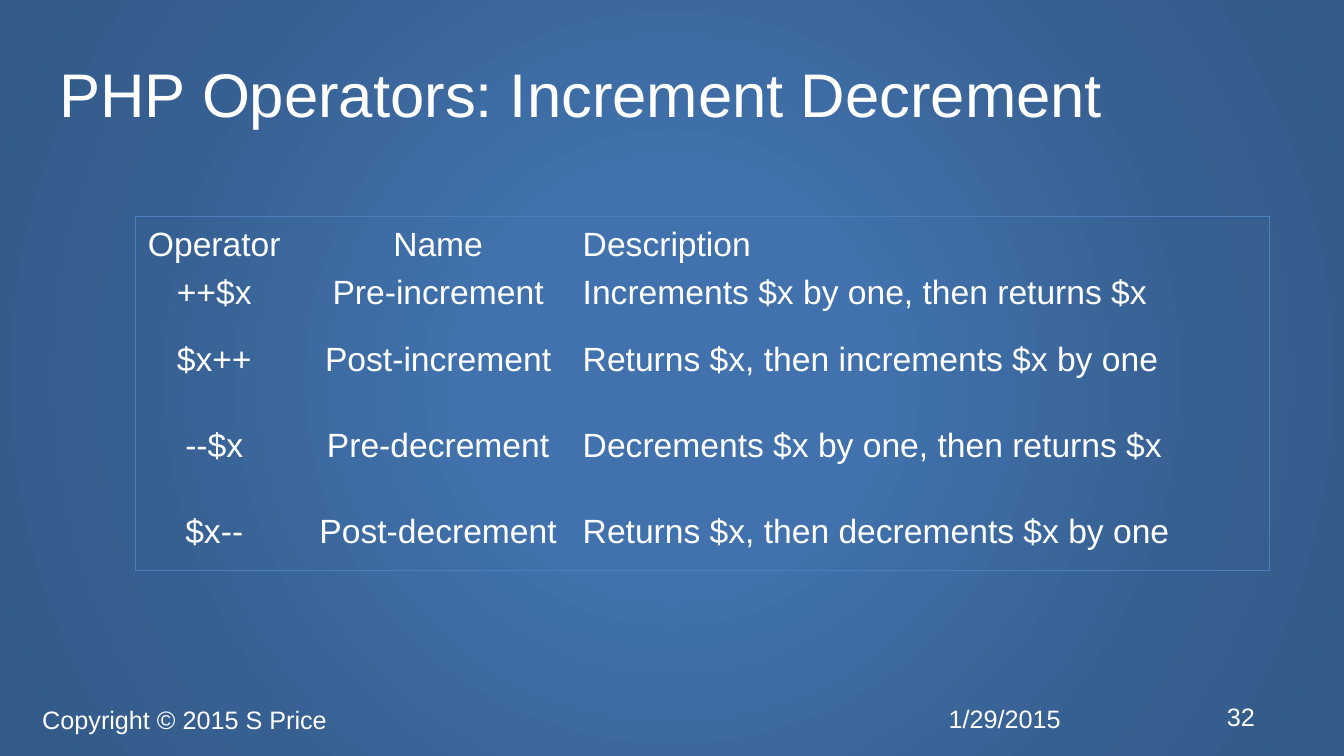
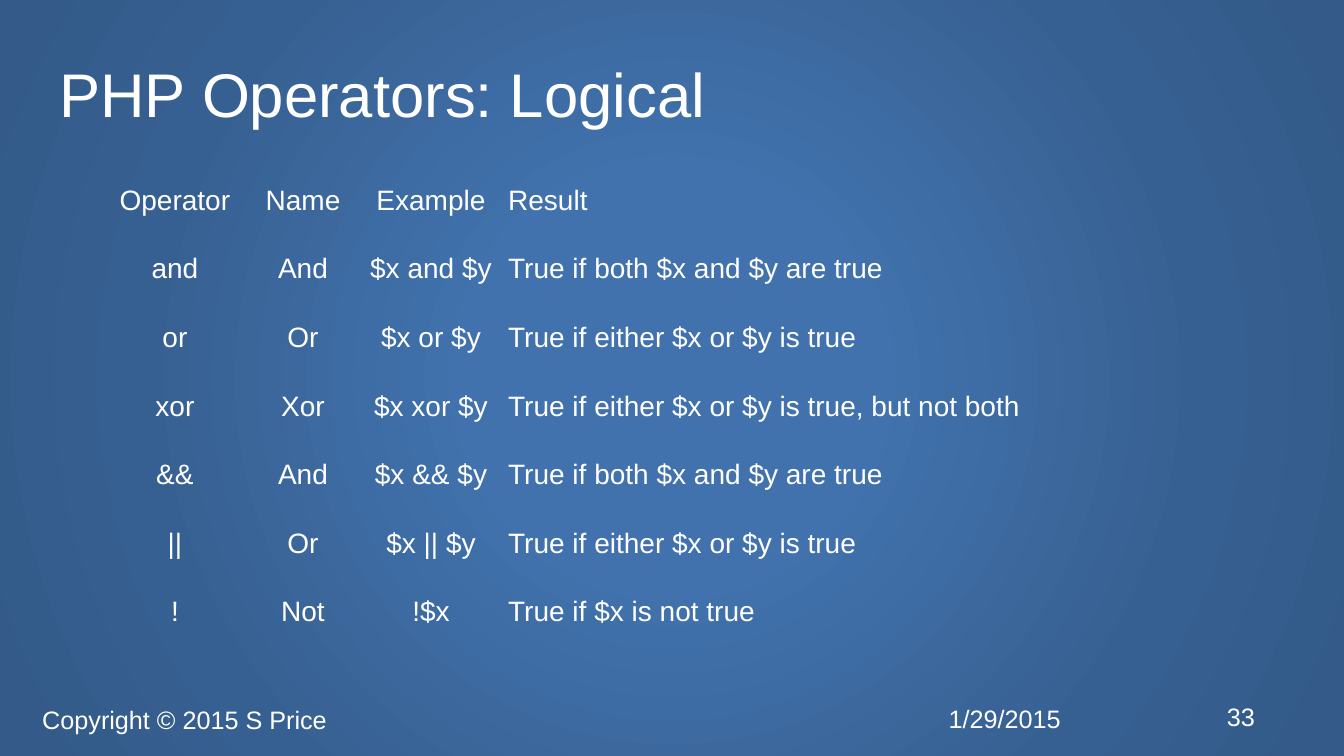
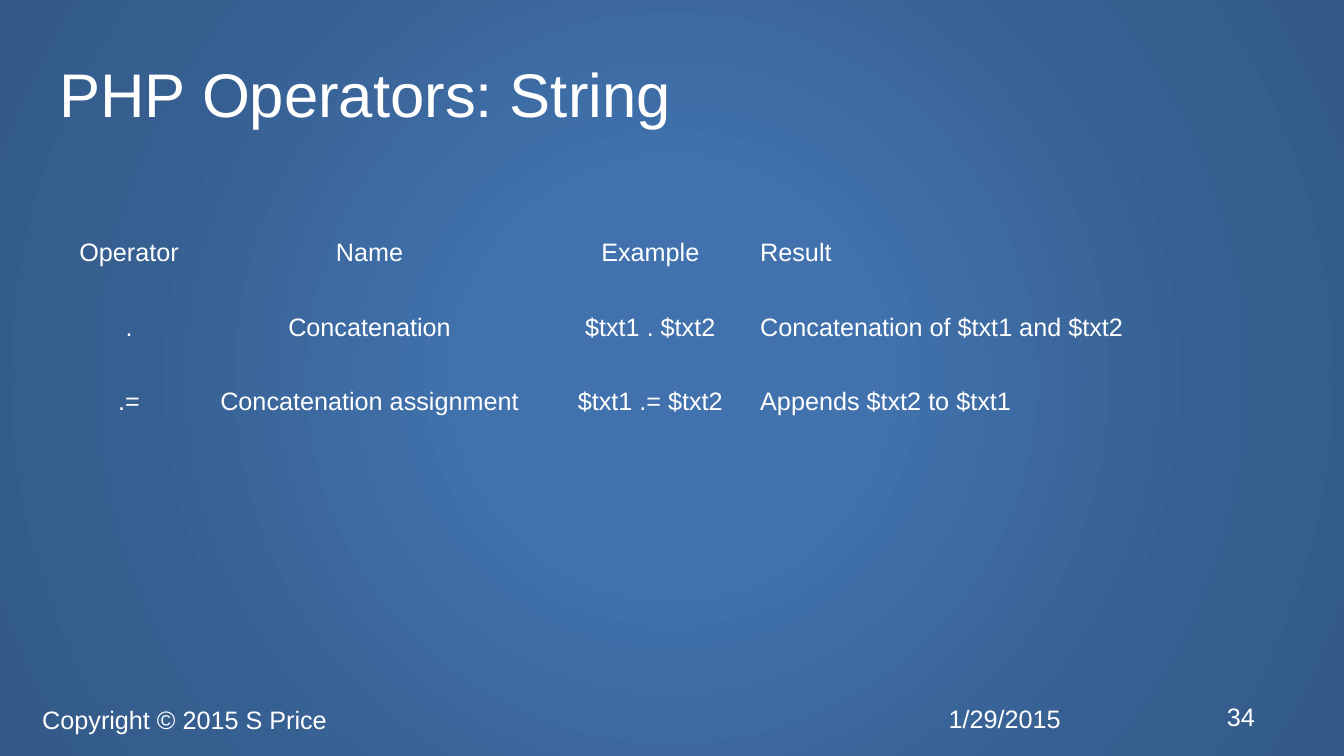
import pptx
import pptx.dml.color
import pptx.enum.text
import pptx.oxml
import pptx.oxml.ns
import pptx.util

Inches = pptx.util.Inches
ALIGN = pptx.enum.text.PP_ALIGN
MIDDLE = pptx.enum.text.MSO_ANCHOR.MIDDLE

FONT = "Arial"
WHITE = "FFFFFF"
FRAME_BLUE = "4B7EBC"
FRAME_WIDTH = pptx.util.Pt(0.75)
BACKDROP_STOPS = [(0, "4172AD"), (26, "4172AD"), (69, "376092"), (97, "335A88")]
FIRST_SLIDE_NUMBER = 32

OPERATOR_TABLES = [
    dict(
        title="PHP Operators: Increment Decrement",
        left=1.34, top=2.15, size=24, framed=True,
        widths=[1.57, 2.87, 6.81],
        heights=[0.42] * 2 + [0.85] * 3,
        rows=[
            ("Operator", "Name", "Description"),
            ("++$x", "Pre-increment", "Increments $x by one, then returns $x"),
            ("$x++", "Post-increment", "Returns $x, then increments $x by one"),
            ("--$x", "Pre-decrement", "Decrements $x by one, then returns $x"),
            ("$x--", "Post-decrement", "Returns $x, then decrements $x by one"),
        ],
    ),
    dict(
        title="PHP Operators: Logical",
        left=0.97, top=1.62, size=20,
        widths=[1.53, 1.01, 1.53, 7.54],
        heights=[0.68] * 7,
        rows=[
            ("Operator", "Name", "Example", "Result"),
            ("and", "And", "$x and $y", "True if both $x and $y are true"),
            ("or", "Or", "$x or $y", "True if either $x or $y is true"),
            ("xor", "Xor", "$x xor $y", "True if either $x or $y is true, but not both"),
            ("&&", "And", "$x && $y", "True if both $x and $y are true"),
            ("||", "Or", "$x || $y", "True if either $x or $y is true"),
            ("!", "Not", "!$x", "True if $x is not true"),
        ],
    ),
    dict(
        title="PHP Operators: String",
        left=0.59, top=2.11, size=18,
        widths=[1.38, 3.39, 2.18, 5.37],
        heights=[0.74] * 3,
        rows=[
            ("Operator", "Name", "Example", "Result"),
            (".", "Concatenation", "$txt1 . $txt2", "Concatenation of $txt1 and $txt2"),
            (".=", "Concatenation assignment", "$txt1 .= $txt2", "Appends $txt2 to $txt1"),
        ],
    ),
]


def rgb(hex_color):
    return pptx.dml.color.RGBColor.from_string(hex_color)


def drawing_xml(markup):
    """Parse a markup template whose root tag has an %s for the a: namespace."""
    return pptx.oxml.parse_xml(markup % pptx.oxml.ns.nsdecls("a"))


def write(frame, text, size=18, color=WHITE, align=ALIGN.LEFT, spacing=1.0):
    paragraph = frame.paragraphs[0]
    paragraph.alignment = align
    paragraph.line_spacing = spacing
    run = paragraph.add_run()
    run.text = text
    run.font.name = FONT
    run.font.size = pptx.util.Pt(size)
    run.font.color.rgb = rgb(color)


def clear_margins(holder):
    holder.margin_left = holder.margin_right = 0
    holder.margin_top = holder.margin_bottom = 0


def add_text(slide, text, left, top, width, height, inset=True, **text_format):
    box = slide.shapes.add_textbox(Inches(left), Inches(top), Inches(width), Inches(height))
    frame = box.text_frame
    frame.word_wrap = True
    frame.vertical_anchor = MIDDLE
    if not inset:
        clear_margins(frame)
    write(frame, text, **text_format)


def paint_backdrop(master):
    """Give every slide the radial blue gradient."""
    master.background.fill.gradient()
    plain = next(master.element.iter(pptx.oxml.ns.qn("a:gradFill")))
    stops = "".join(
        f'<a:gs pos="{percent * 1000}"><a:srgbClr val="{color}"/></a:gs>'
        for percent, color in BACKDROP_STOPS
    )
    radial = drawing_xml(
        f'<a:gradFill %s rotWithShape="1"><a:gsLst>{stops}</a:gsLst><a:path path="circle">'
        '<a:fillToRect l="50000" t="50000" r="50000" b="50000"/></a:path></a:gradFill>'
    )
    plain.getparent().replace(plain, radial)


def set_borders(cell, visible_sides):
    properties = cell._tc.get_or_add_tcPr()
    for position, side in enumerate("LRTB"):
        if side in visible_sides:
            paint = f'<a:solidFill><a:srgbClr val="{FRAME_BLUE}"/></a:solidFill>'
        else:
            paint = "<a:noFill/>"
        border = drawing_xml(f'<a:ln{side} %s w="{FRAME_WIDTH}">{paint}</a:ln{side}>')
        properties.insert(position, border)


def add_operator_table(slide, rows, left, top, widths, heights, size, framed=False):
    """Add a clear table: last column left-aligned, the others centred."""
    table = slide.shapes.add_table(
        len(rows), len(widths), Inches(left), Inches(top),
        Inches(sum(widths)), Inches(sum(heights)),
    ).table
    table.first_row = table.horz_banding = False
    for column, width in zip(table.columns, widths):
        column.width = Inches(width)
    for row, height in zip(table.rows, heights):
        row.height = Inches(height)

    last_row, last_column = len(rows) - 1, len(widths) - 1
    for r, row_texts in enumerate(rows):
        for c, text in enumerate(row_texts):
            cell = table.cell(r, c)
            cell.fill.background()
            cell.vertical_anchor = MIDDLE
            clear_margins(cell)
            align = ALIGN.LEFT if c == last_column else ALIGN.CENTER
            write(cell.text_frame, text, size=size, align=align, spacing=1.2)
            outer = {"L": c == 0, "R": c == last_column, "T": r == 0, "B": r == last_row}
            set_borders(cell, [side for side in outer if framed and outer[side]])


def add_title(slide, title):
    add_text(slide, title, 0.59, 0.34, 12, 1.25, inset=False, size=44, spacing=0.9)


def add_footer(slide, number):
    add_text(slide, "1/29/2015", 9.31, 6.92, 1.75, 0.41)
    add_text(slide, "Copyright © 2015 S Price", 0.32, 6.93, 8.99, 0.41)
    add_text(slide, str(number), 12.07, 6.9, 0.6, 0.41)


def main():
    deck = pptx.Presentation()
    deck.slide_width, deck.slide_height = Inches(13.33), Inches(7.5)
    paint_backdrop(deck.slide_master)
    blank = deck.slide_layouts[6]
    for number, content in enumerate(OPERATOR_TABLES, FIRST_SLIDE_NUMBER):
        slide = deck.slides.add_slide(blank)
        table_content = dict(content)
        add_title(slide, table_content.pop("title"))
        add_footer(slide, number)
        add_operator_table(slide, **table_content)
    deck.save("out.pptx")


if __name__ == "__main__":
    main()
